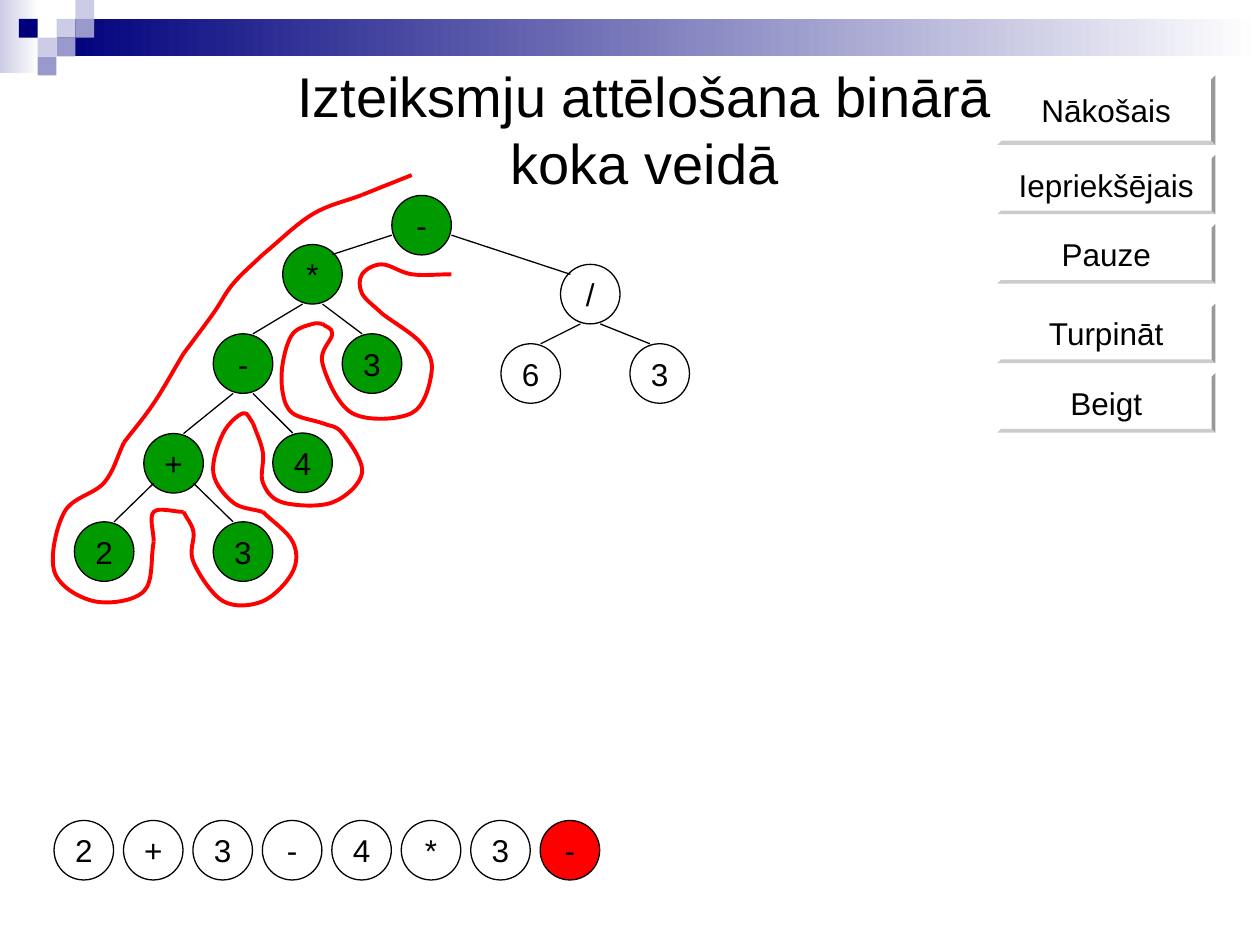
from dataclasses import dataclass

from lxml.etree import SubElement
from pptx import Presentation
from pptx.dml.color import RGBColor
from pptx.enum.dml import MSO_FILL
from pptx.enum.shapes import MSO_CONNECTOR, MSO_SHAPE
from pptx.enum.text import MSO_ANCHOR, PP_ALIGN
from pptx.oxml.ns import qn
from pptx.util import Cm, Pt


@dataclass(frozen=True)
class Theme:
    font: str = "Arial"
    title_size: Pt = Pt(32)
    label_size: Pt = Pt(18)
    thin: Pt = Pt(0.75)
    thick: Pt = Pt(2.25)
    black: RGBColor = RGBColor.from_string("000000")
    white: RGBColor = RGBColor.from_string("FFFFFF")
    green: RGBColor = RGBColor.from_string("009900")
    red: RGBColor = RGBColor.from_string("FF0000")
    navy: RGBColor = RGBColor.from_string("00007D")
    lilac: RGBColor = RGBColor.from_string("9999CC")
    pale: RGBColor = RGBColor.from_string("CCCCE6")


theme = Theme()
presentation = Presentation()
presentation.slide_width, presentation.slide_height = Cm(25.4), Cm(19.05)
slide = presentation.slides.add_slide(presentation.slide_layouts[6])
shapes = slide.shapes


def add_filled(kind, left, top, width, height, fill, fade=None, line=None):
    """Add a preset shape, fading from left to right if a second colour is given."""
    shape = shapes.add_shape(kind, Cm(left), Cm(top), Cm(width), Cm(height))
    shape.shadow.inherit = False
    if fade is None:
        shape.fill.solid()
        shape.fill.fore_color.rgb = fill
    else:
        shape.fill.gradient()
        shape.fill.gradient_angle = 0
        for stop, color in zip(shape.fill.gradient_stops, (fill, fade)):
            stop.color.rgb = color
    if line is None:
        shape.line.fill.background()
    else:
        shape.line.color.rgb = line
        shape.line.width = theme.thin
    return shape


def write_text(shape, text, size, anchor=MSO_ANCHOR.MIDDLE, wrap=False):
    frame = shape.text_frame
    frame.word_wrap = wrap
    frame.vertical_anchor = anchor
    paragraph = frame.paragraphs[0]
    paragraph.text = text
    paragraph.alignment = PP_ALIGN.CENTER
    paragraph.font.name = theme.font
    paragraph.font.size = size
    paragraph.font.color.rgb = theme.black


# Header band and its pixel squares
PIXEL = 0.38
add_filled(MSO_SHAPE.RECTANGLE, 0, 0, 0.79, 1.47, theme.pale, theme.white)
add_filled(MSO_SHAPE.RECTANGLE, 3 * PIXEL, PIXEL, 24.26, 2 * PIXEL, theme.navy, theme.white)
pixel_colors = {"P": theme.pale, "L": theme.lilac, "N": theme.navy}
for row, pixels in enumerate(["....P", ".N.PL", "..PL.", "..L.."]):
    for column, pixel in enumerate(pixels):
        if pixel in pixel_colors:
            add_filled(MSO_SHAPE.RECTANGLE, column * PIXEL, row * PIXEL, PIXEL, PIXEL,
                       pixel_colors[pixel])

# Control buttons
for label, top, height in [
    ("Nākošais", 1.52, 1.4), ("Iepriekšējais", 3.12, 1.2), ("Pauze", 4.52, 1.2),
    ("Turpināt", 6.12, 1.2), ("Beigt", 7.52, 1.2),
]:
    button = add_filled(MSO_SHAPE.BEVEL, 20.1, top, 4.4, height, theme.white)
    button.adjustments[0] = 0.06
    write_text(button, label, theme.label_size)

title = shapes.add_textbox(Cm(4.5), Cm(1.12), Cm(17), Cm(2.97))
write_text(title, "Izteiksmju attēlošana binārā koka veidā", theme.title_size,
           MSO_ANCHOR.TOP, wrap=True)

# Expression tree and the output row: visited nodes are green, the newest output is red
NODE = 1.2
nodes = {
    "root": ("-", 7.9, 3.94), "times": ("*", 5.7, 4.93), "minus": ("-", 4.3, 6.73),
    "plus": ("+", 2.9, 8.74), "two": ("2", 1.5, 10.52), "three": ("3", 4.3, 10.52),
    "four": ("4", 5.5, 8.73), "factor": ("3", 6.9, 6.73), "divide": ("/", 11.3, 5.33),
    "six": ("6", 10.1, 6.93), "divisor": ("3", 12.7, 6.93),
}
unvisited = {"divide", "six", "divisor"}
circles = [(*node, theme.white if name in unvisited else theme.green)
           for name, node in nodes.items()]
output = "2+3-4*3-"
for index, symbol in enumerate(output):
    color = theme.red if index == len(output) - 1 else theme.white
    circles.append((symbol, 1.09 + 1.4 * index, 16.54, color))
for symbol, left, top, color in circles:
    circle = add_filled(MSO_SHAPE.OVAL, left, top, NODE, NODE, color, line=theme.black)
    write_text(circle, symbol, theme.label_size)

# Branches: joints are offsets inside a node for the left child, mirrored for the right one
BOTTOM, SIDE, CORNER = (0.4, 1.2), (0, 0.8), (0.2, 1)
TOP, SHOULDER = (0.8, 0), (1, 0.2)
for parent, children, (exit_x, exit_y), (entry_x, entry_y) in [
    ("root", ("times", "divide"), SIDE, SHOULDER),
    ("times", ("minus", "factor"), BOTTOM, TOP),
    ("minus", ("plus", "four"), BOTTOM, TOP),
    ("plus", ("two", "three"), CORNER, TOP),
    ("divide", ("six", "divisor"), BOTTOM, TOP),
]:
    for child, mirrored in zip(children, (False, True)):
        _, parent_left, parent_top = nodes[parent]
        _, child_left, child_top = nodes[child]
        start_x = NODE - exit_x if mirrored else exit_x
        end_x = NODE - entry_x if mirrored else entry_x
        connector = shapes.add_connector(
            MSO_CONNECTOR.STRAIGHT,
            Cm(child_left + end_x), Cm(child_top + entry_y),
            Cm(parent_left + start_x), Cm(parent_top + exit_y))
        connector.line.color.rgb = theme.black
        connector.line.width = theme.thin
        SubElement(connector._element.spPr, qn("a:effectLst"))

# Traversal path: smooth pieces, each starting where the last one ended
start = (8.3, 3.53)
for piece in [
    [(7.3, 3.93)],
    [(6.3, 4.32), (5.3, 5.13)],
    [(4.7, 5.72), (4.3, 6.32), (3.7, 7.13)],
    [(3.1, 8.13), (2.5, 8.92)],
    [(2.1, 9.73), (1.3, 10.32), (1.1, 11.53), (1.9, 12.12), (2.9, 11.92), (3.1, 10.92)],
    [(3.1, 10.32), (3.7, 10.32)],
    [(3.9, 10.72), (3.9, 11.33), (4.5, 12.12), (5.3, 12.12), (5.9, 11.53), (5.9, 10.92),
     (5.3, 10.32)],
    [(4.7, 10.13), (4.3, 9.53), (4.5, 8.73), (4.9, 8.33), (5.1, 8.53)],
    [(5.3, 9.12), (5.3, 9.73), (5.7, 10.13), (6.7, 10.13), (7.3, 9.53), (6.9, 8.73),
     (6.5, 8.53)],
    [(5.9, 8.33), (5.7, 7.92), (5.7, 7.32), (5.9, 6.73), (6.3, 6.53), (6.5, 6.53)],
    [(6.7, 6.73), (6.5, 7.32), (7.1, 8.33), (8.3, 8.33), (8.7, 7.52), (8.5, 6.93),
     (7.7, 6.32)],
    [(7.3, 5.92), (7.3, 5.53), (7.7, 5.33), (8.3, 5.53), (9.1, 5.53)],
]:
    knots = [start, *piece]
    before = tuple(2 * a - b for a, b in zip(knots[0], knots[1]))
    after = tuple(2 * a - b for a, b in zip(knots[-1], knots[-2]))
    padded = [before, *knots, after]
    # Catmull-Rom spline through the knots, written as Bézier points
    points = []
    for p0, p1, p2, p3 in zip(padded, padded[1:], padded[2:], padded[3:]):
        points.append([b + (c - a) / 6 for a, b, c in zip(p0, p1, p2)])
        points.append([c - (d - b) / 6 for b, c, d in zip(p1, p2, p3)])
        points.append(p2)
    builder = shapes.build_freeform(Cm(start[0]), Cm(start[1]))
    builder.add_line_segments([(Cm(x), Cm(y)) for x, y in points], close=False)
    curve = builder.convert_to_shape()
    curve.shadow.inherit = False
    curve.fill.background()
    curve.line.color.rgb = theme.red
    curve.line.width = theme.thick
    # Turn every three line segments into one cubic Bézier segment
    outline = next(curve._element.iter(qn("a:path")))
    segments = outline.findall(qn("a:lnTo"))
    for first in range(0, len(segments), 3):
        bezier = SubElement(outline, qn("a:cubicBezTo"))
        for segment in segments[first:first + 3]:
            bezier.append(segment[0])
            outline.remove(segment)
    start = piece[-1]

presentation.save("out.pptx")
